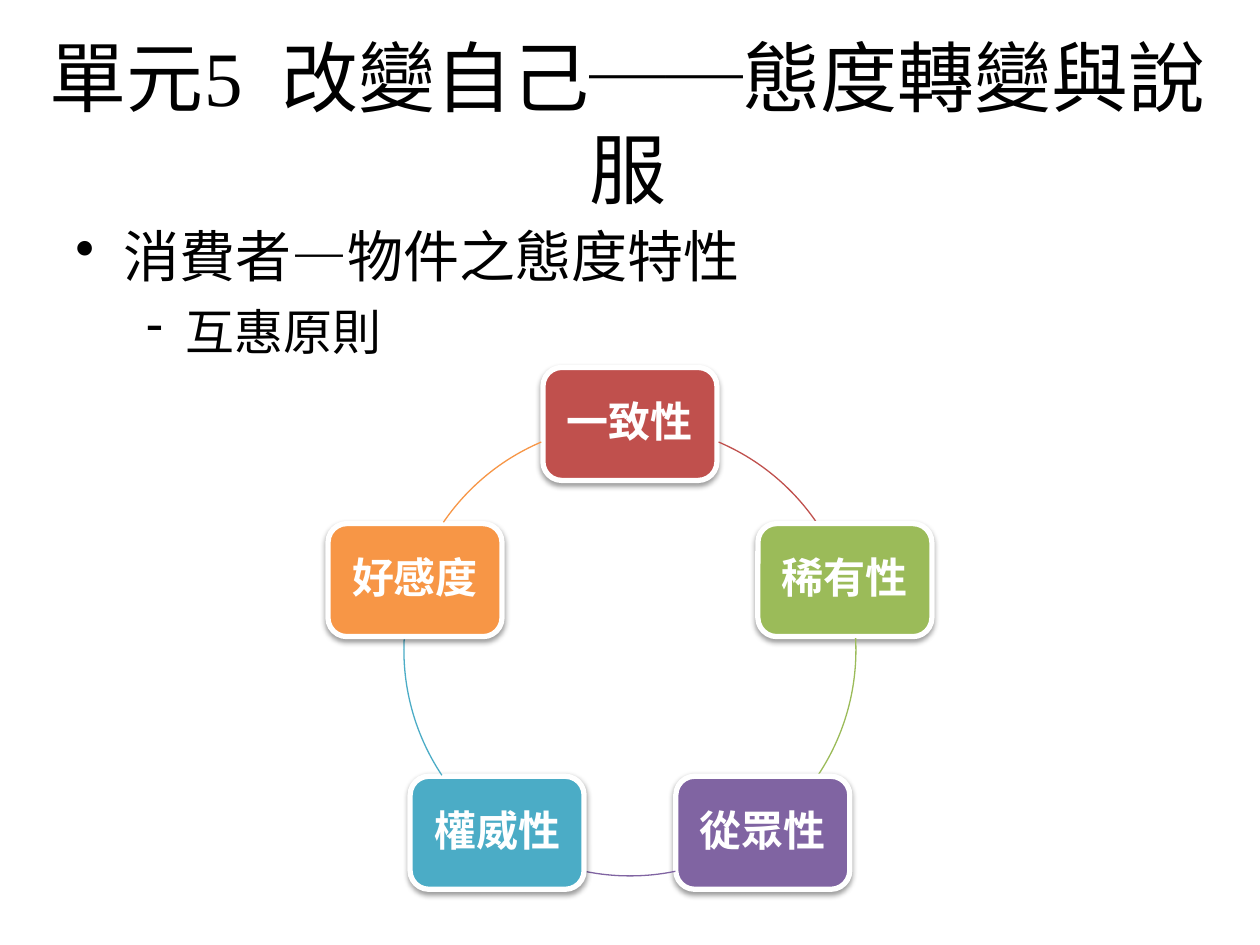
"""Build the slide on attitude change, with a five-node ring of principles."""
from dataclasses import dataclass
from math import cos, radians, sin

from lxml.etree import SubElement
from pptx import Presentation
from pptx.dml.color import RGBColor
from pptx.enum.shapes import MSO_SHAPE
from pptx.enum.text import MSO_ANCHOR, PP_ALIGN
from pptx.oxml.ns import qn
from pptx.util import Emu, Pt

PX_PER_INCH = 126
BLACK = RGBColor(0x00, 0x00, 0x00)
WHITE = RGBColor(0xFF, 0xFF, 0xFF)
RED = RGBColor(0xC0, 0x50, 0x4D)
GREEN = RGBColor(0x9B, 0xBB, 0x59)
PURPLE = RGBColor(0x80, 0x64, 0xA2)
TEAL = RGBColor(0x4B, 0xAC, 0xC6)
ORANGE = RGBColor(0xF7, 0x96, 0x46)
SERIF = "Times New Roman"
SANS = "Noto Sans CJK SC"

CENTER_X, CENTER_Y, RADIUS = 630, 650, 226
NODE_WIDTH, NODE_HEIGHT = 174, 113


@dataclass(frozen=True)
class Bullet:
    text: str
    mark: str
    size: int
    margin: int
    hanging: int
    space_before: float
    align: PP_ALIGN


@dataclass(frozen=True)
class Node:
    text: str
    color: RGBColor
    arc_start: float
    arc_end: float


BULLETS = [
    Bullet("消費者—物件之態度特性", "•", 32, 48, 48, 6.4, PP_ALIGN.JUSTIFY),
    Bullet("互惠原則", "-", 28, 110, 39, 7.7, PP_ALIGN.LEFT),
]
NODES = [
    Node("一致性", RED, 293.1, 325.6),
    Node("稀有性", GREEN, 357, 33.7),
    Node("從眾性", PURPLE, 78.4, 101.6),
    Node("權威性", TEAL, 146.3, 183),
    Node("好感度", ORANGE, 214.4, 246.9),
]


def px(length: float) -> Emu:
    """Turn pixels into EMU."""
    return Emu(round(length * 914400 / PX_PER_INCH))


def style_text(paragraph, font: str, size: int, color: RGBColor, bold: bool = False) -> None:
    """Format every run of a paragraph."""
    for span in paragraph.runs:
        span.font.name = font
        span.font.size = Pt(size)
        span.font.color.rgb = color
        span.font.bold = bold
        if font == SANS:
            SubElement(span.font._element, qn("a:ea"), typeface=font)


def add_title(page, text: str) -> None:
    """Add the centred heading."""
    box = page.shapes.add_textbox(px(18), px(30), px(1220), px(183))
    frame = box.text_frame
    frame.word_wrap = True
    frame.vertical_anchor = MSO_ANCHOR.MIDDLE
    frame.text = text
    frame.paragraphs[0].alignment = PP_ALIGN.CENTER
    style_text(frame.paragraphs[0], SERIF, 44, BLACK)


def add_bullets(page, bullets: list[Bullet]) -> None:
    """Add the bulleted body text."""
    box = page.shapes.add_textbox(px(63), px(215), px(1143), px(690))
    frame = box.text_frame
    frame.word_wrap = True
    frame.text = "\n".join(bullet.text for bullet in bullets)
    for paragraph, bullet in zip(frame.paragraphs, bullets):
        paragraph.alignment = bullet.align
        paragraph.space_before = Pt(bullet.space_before)
        properties = paragraph._p.get_or_add_pPr()
        properties.set("marL", str(px(bullet.margin)))
        properties.set("indent", str(-px(bullet.hanging)))
        SubElement(properties, qn("a:buChar"), char=bullet.mark)
        style_text(paragraph, SERIF, bullet.size, BLACK)


def add_shadow(shape) -> None:
    """Give a shape a soft shadow straight below it."""
    shape.shadow.inherit = False
    effects = shape._element.spPr.find(qn("a:effectLst"))
    shadow = SubElement(effects, qn("a:outerShdw"), blurRad=str(Pt(3.1)),
                        dist=str(Pt(1.6)), dir="5400000", rotWithShape="0")
    color = SubElement(shadow, qn("a:srgbClr"), val=str(BLACK))
    SubElement(color, qn("a:alpha"), val="38000")


def add_node(page, node: Node, angle: float) -> None:
    """Add a labelled box centred on the ring at an angle in degrees."""
    left = CENTER_X + RADIUS * cos(radians(angle)) - NODE_WIDTH / 2
    top = CENTER_Y + RADIUS * sin(radians(angle)) - NODE_HEIGHT / 2
    box = page.shapes.add_shape(MSO_SHAPE.ROUNDED_RECTANGLE, px(left), px(top),
                                px(NODE_WIDTH), px(NODE_HEIGHT))
    box.fill.solid()
    box.fill.fore_color.rgb = node.color
    box.line.color.rgb = WHITE
    box.line.width = Pt(3)
    add_shadow(box)
    frame = box.text_frame
    frame.word_wrap = True
    frame.vertical_anchor = MSO_ANCHOR.MIDDLE
    frame.text = node.text
    paragraph = frame.paragraphs[0]
    paragraph.alignment = PP_ALIGN.CENTER
    paragraph.line_spacing = 0.9
    paragraph.space_after = Pt(8.4)
    style_text(paragraph, SANS, 24, WHITE, bold=True)


def add_arc(page, node: Node) -> None:
    """Add the piece of the ring that follows a node."""
    arc = page.shapes.add_shape(MSO_SHAPE.ARC, px(CENTER_X - RADIUS), px(CENTER_Y - RADIUS),
                                px(2 * RADIUS), px(2 * RADIUS))
    arc.shadow.inherit = False
    arc.fill.background()
    arc.line.color.rgb = node.color
    arc.line.width = Pt(0.75)
    arc.adjustments[0] = node.arc_start * 0.6
    arc.adjustments[1] = node.arc_end * 0.6


def main() -> None:
    """Build and save the deck."""
    deck = Presentation()
    deck.slide_width, deck.slide_height = px(1260), px(945)
    page = deck.slides.add_slide(deck.slide_layouts[6])
    add_title(page, "單元5  改變自己──態度轉變與說服")
    add_bullets(page, BULLETS)
    for index, node in enumerate(NODES):
        add_node(page, node, index * 360 / len(NODES) - 90)
        add_arc(page, node)
    deck.save("out.pptx")


if __name__ == "__main__":
    main()
